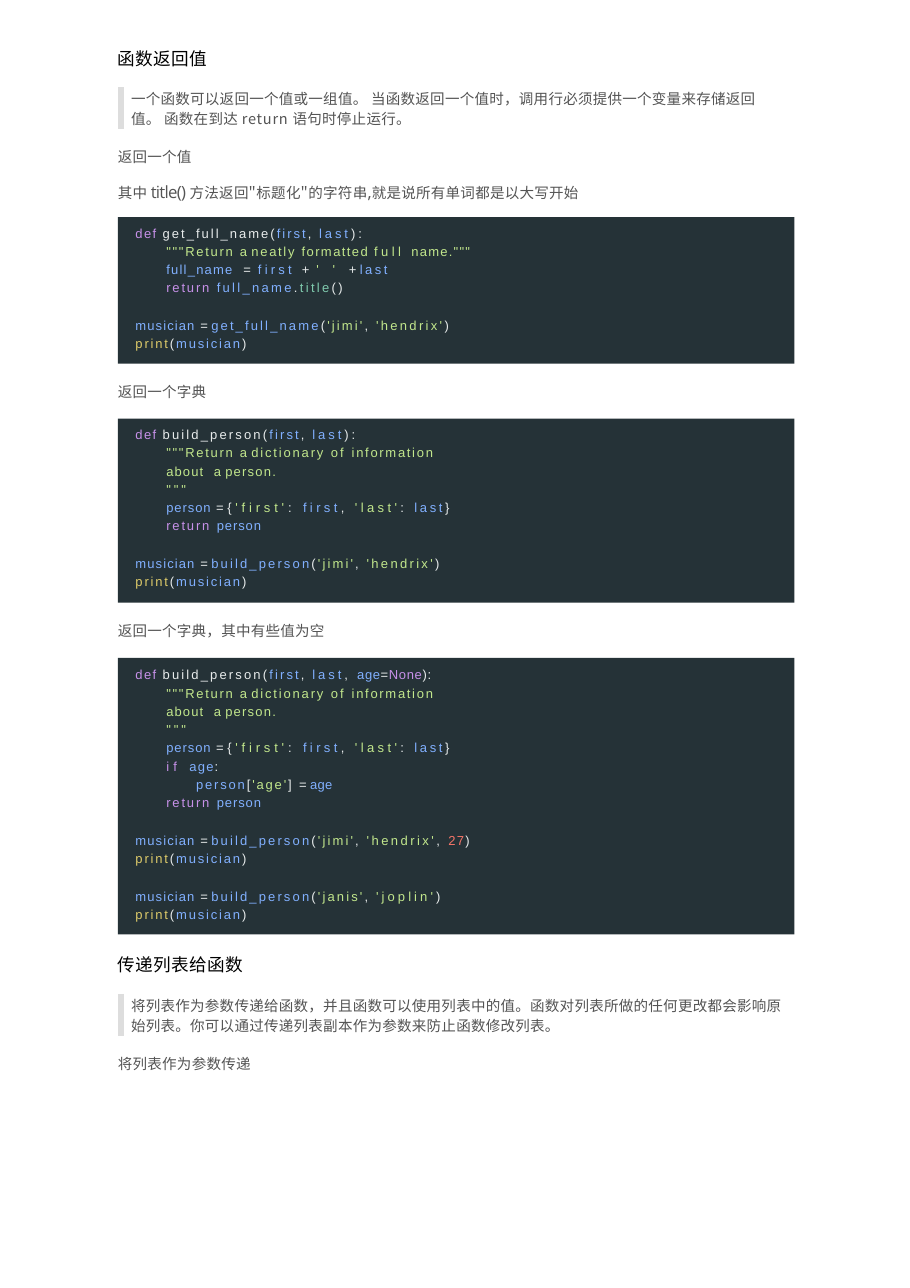
from dataclasses import dataclass
from typing import Any, NamedTuple

from lxml import etree
from pptx import Presentation
from pptx.dml.color import RGBColor
from pptx.enum.shapes import MSO_CONNECTOR, MSO_SHAPE
from pptx.enum.text import MSO_ANCHOR, MSO_AUTO_SIZE, PP_ALIGN
from pptx.oxml.ns import qn
from pptx.util import Inches, Pt

STRAIGHT, RECT = MSO_CONNECTOR.STRAIGHT, MSO_SHAPE.RECTANGLE
TOP, LEFT, FIXED = MSO_ANCHOR.TOP, PP_ALIGN.LEFT, MSO_AUTO_SIZE.NONE

HEX = {
    "bar": "DDDDDD", "head": "000000", "text": "545454", "panel": "253237",
    "key": "C791E9", "sign": "E8ECEC", "name": "81B0FF", "str": "C2E78C",
    "meth": "80CBAE", "call": "DECB6A", "num": "F67569",
}
HAN, SANS, CODE = "Noto Sans CJK SC", "Open Sans", "Arial"
MARGIN = 1.06
FRAME = {
    "margin_left": 0, "margin_top": 0, "margin_right": 0, "margin_bottom": 0,
    "word_wrap": True, "auto_size": FIXED, "vertical_anchor": TOP,
}


class Bit(NamedTuple):
    text: str
    hue: str = "text"
    gap: float = 0.2
    font: str = HAN
    size: float = 9.5


@dataclass
class Line:
    bits: list[Bit]
    left: float = 0.01
    before: float = 0
    pitch: float = 13.2


@dataclass
class Panel:
    top: float
    height: float
    inset: float
    lines: list[Line]


def code(left: float, *bits: tuple[str, str, float], before: float = 0) -> Line:
    return Line([Bit(*bit, CODE, 8.5) for bit in bits], left, before, 11.9)


def define(name: str, gap: float, *tail: tuple[str, str, float]) -> Line:
    return code(0.16, ("def ", "key", 0.9), (name + "(", "sign", gap),
                ("first", "name", gap), (", ", "sign", gap),
                ("last", "name", 1.9), *tail)


def usage(name: str, first: str, last: str, gap: float = 1.5,
          *more: tuple[str, str, float]) -> list[Line]:
    """Lines that call a function and print its result."""
    return [
        code(0.16, ("musician ", "name", 0.7), ("= ", "sign", -0.1),
             (name, "name", 1.4), ("(", "sign", 1.4), (first, "str", 1.4),
             (", ", "sign", 1.4), (last, "str", gap), *more,
             (")", "sign", gap), before=12.9),
        code(0.16, ("print", "call", 1.2), ("(", "sign", 1.2),
             ("musician", "name", 1.2), (")", "sign", 1.2)),
    ]


END = ("):", "sign", 1.9)
BACK = code(0.44, ("return ", "key", 1.2), ("person", "name", 0.6))
PERSON = [
    code(0.44, ('"""Return ', "str", 1.1), ("a ", "str", 0.2),
         ("dictionary ", "str", 1.2), ("of ", "str", 1.4),
         ("information", "str", 1.1)),
    code(0.44, ("about  ", "str", 0.7), ("a ", "str", 0.2),
         ("person.", "str", 0.8)),
    code(0.44, ('"""', "str", 1.9)),
    code(0.44, ("person ", "name", 0.6), ("= ", "sign", -0.1),
         ("{", "sign", 2.5), ("'first'", "str", 2.5), (": ", "sign", 2.5),
         ("first", "name", 2.2), (", ", "sign", 2.2), ("'last'", "str", 2.2),
         (": ", "sign", 2.2), ("last", "name", 1.7), ("}", "sign", 1.7)),
]
PANELS = [
    Panel(1.97, 1.33, 0.05, [
        define("get_full_name", 1.3, END),
        code(0.44, ('"""Return ', "str", 1.1), ("a ", "str", 0.2),
             ("neatly ", "str", 1.1), ("formatted ", "str", 0.9),
             ("full ", "str", 2.2), ('name."""', "str", 0.8)),
        code(0.44, ("full_name  ", "name", 0.8), ("=  ", "sign", -0.1),
             ("first ", "name", 2.1), ("+  ", "sign", -0.1),
             ("' ' ", "str", 3.3), ("+ ", "sign", -0.1), ("last", "name", 1.6)),
        code(0.44, ("return ", "key", 1.2), ("full_name", "name", 1.5),
             (".", "sign", 1.5), ("title", "meth", 1.5), ("()", "sign", 1.5)),
        *usage("get_full_name", "'jimi'", "'hendrix'"),
    ]),
    Panel(3.8, 1.67, 0.05, [
        define("build_person", 1.4, END), *PERSON, BACK,
        *usage("build_person", "'jimi'", "'hendrix'"),
    ]),
    Panel(5.97, 2.51, 0.06, [
        define("build_person", 1.4, (", ", "sign", 1.8), ("age", "name", 0.4),
               ("=", "sign", 0.4), ("None", "key", 0.4), ("):", "sign", 0.4)),
        *PERSON,
        code(0.44, ("if ", "key", 2.8), ("age", "name", 0.8), (":", "sign", 0.8)),
        code(0.71, ("person", "name", 1.2), ("[", "sign", 1.2),
             ("'age'", "str", 1.2), ("] ", "sign", 1.2), ("= ", "sign", -0.1),
             ("age", "name", 0.2)),
        BACK,
        *usage("build_person", "'jimi'", "'hendrix'", 1.6,
               (", ", "sign", 1.6), ("27", "num", 0.8)),
        *usage("build_person", "'janis'", "'joplin'", 2),
    ]),
]
INTRO = [
    Line([Bit("一个函数可以返回一个值或一组值。 当函数返回一个值时，调用行必须提供一个变量来存储返回值。 函数在到达 "),
          Bit("return ", gap=0.5), Bit("语句时停止运行。")], 0.13),
    Line([Bit("返回一个值")], before=11.5),
    Line([Bit("其"), Bit("中", gap=2.4), Bit("title() ", "text", -0.5, SANS, 11),
          Bit("方法返回"), Bit('"', "text", 0.5, SANS, 11), Bit("标题化"),
          Bit('"', "text", 0.5, SANS, 11), Bit("的字符串"),
          Bit(",", "text", -0.8, SANS, 11), Bit("就是说所有单词都是以大写开始")],
         before=10.8),
]
PASS = [
    Line([Bit("将列表作为参数传递给函数，并且函数可以使用列表中的值。函数对列表所做的任何更改都会影响原始列表。你可以通过传递列表副本作为参数来防止函数修改列表。")], 0.13),
    Line([Bit("将列表作为参数传递")], before=11.5),
]


def head(text: str) -> list[Line]:
    return [Line([Bit(text, "head", size=11.5)], pitch=16)]


def apply(item: Any, form: dict[str, Any]) -> None:
    for key, value in form.items():
        setattr(item, key, value)


def place(shape: Any, left: float, top: float, width: float, height: float) -> None:
    apply(shape, {"left": Inches(left), "top": Inches(top),
                  "width": Inches(width), "height": Inches(height)})


def write(shape: Any, lines: list[Line], inset: float = 0) -> None:
    frame = shape.text_frame
    apply(frame, FRAME | {"margin_top": Inches(inset)})
    for i, line in enumerate(lines):
        para = frame.add_paragraph() if i else frame.paragraphs[0]
        props = para._p.get_or_add_pPr()
        props.set("marL", str(Inches(line.left)))
        props.set("indent", "0")
        etree.SubElement(props, qn("a:buNone"))
        apply(para, {"alignment": LEFT, "line_spacing": Pt(line.pitch),
                     "space_before": Pt(line.before), "space_after": Pt(0)})
        for bit in line.bits:
            run = para.add_run()
            run.text = bit.text
            apply(run.font, {"name": bit.font, "size": Pt(bit.size)})
            run.font.color.rgb = RGBColor.from_string(HEX[bit.hue])
            form = run._r.get_or_add_rPr()
            form.set("spc", str(round(bit.gap * 100)))
            etree.SubElement(form, qn("a:ea")).set("typeface", HAN)


def label(slide: Any, top: float, width: float, height: float,
          lines: list[Line]) -> None:
    box = slide.shapes.add_textbox(0, 0, 0, 0)
    place(box, MARGIN, top, width, height)
    write(box, lines)


def bar(slide: Any, top: float) -> None:
    line = slide.shapes.add_connector(
        STRAIGHT, Inches(1.1), Inches(top), Inches(1.1), Inches(top + 0.38))
    line.line.color.rgb = RGBColor.from_string(HEX["bar"])
    line.line.width = Pt(3.75)
    etree.SubElement(line._element.spPr, qn("a:effectLst"))


def block(slide: Any, panel: Panel) -> None:
    shape = slide.shapes.add_shape(RECT, 0, 0, 0, 0)
    place(shape, 1.07, panel.top, 6.14, panel.height)
    shape.shadow.inherit = False
    shape.fill.solid()
    shape.fill.fore_color.rgb = RGBColor.from_string(HEX["panel"])
    shape.line.fill.background()
    write(shape, panel.lines, panel.inset)


def main() -> None:
    deck = Presentation()
    apply(deck, {"slide_width": Inches(8.26), "slide_height": Inches(11.69)})
    slide = deck.slides.add_slide(deck.slide_layouts[1])
    title, body = slide.placeholders
    place(title, MARGIN, 0.4, 5.91, 0.27)
    write(title, head("函数返回值"))
    place(body, MARGIN, 0.79, 5.91, 1.11)
    write(body, INTRO)
    for top in (0.79, 9.02):
        bar(slide, top)
    label(slide, 3.45, 3, 0.27, [Line([Bit("返回一个字典")])])
    label(slide, 5.62, 3, 0.27, [Line([Bit("返回一个字典，其中有些值为空")])])
    label(slide, 8.63, 6.11, 0.27, head("传递列表给函数"))
    label(slide, 9.02, 6.11, 0.79, PASS)
    for panel in PANELS:
        block(slide, panel)
    deck.save("out.pptx")


if __name__ == "__main__":
    main()
